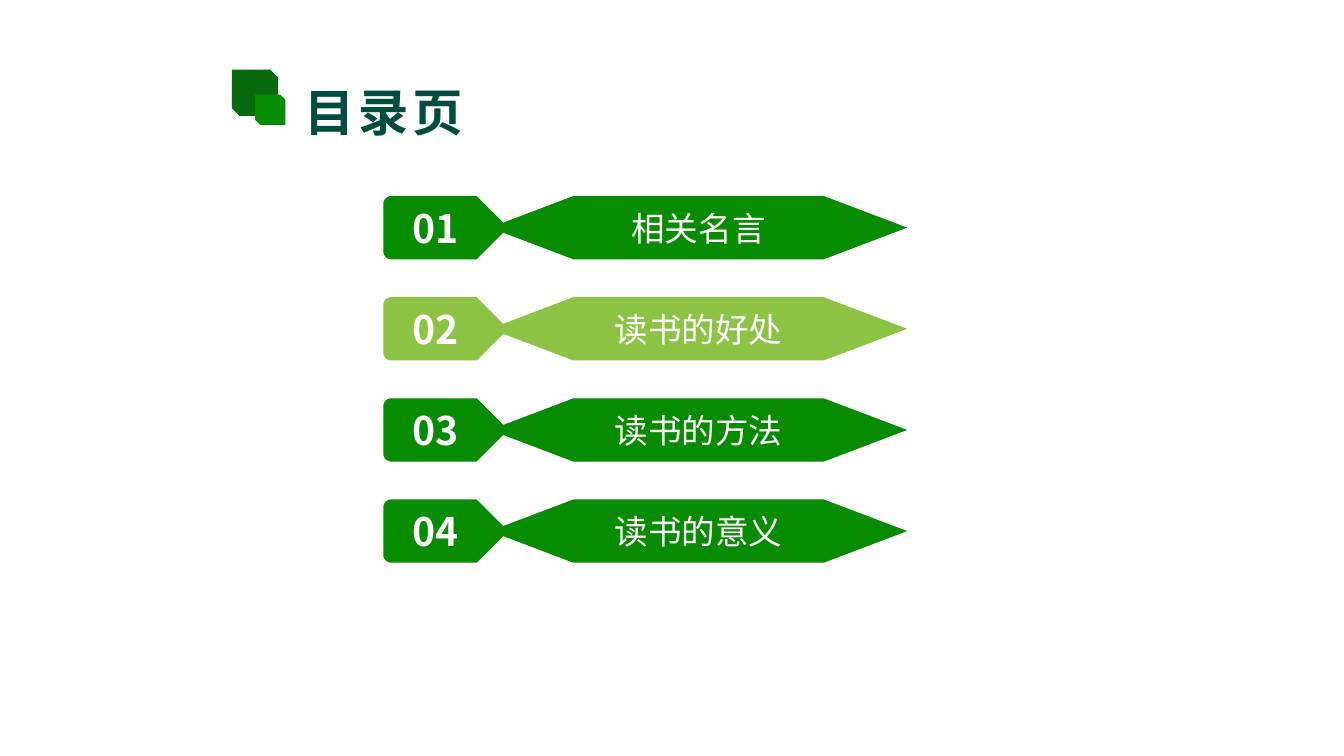
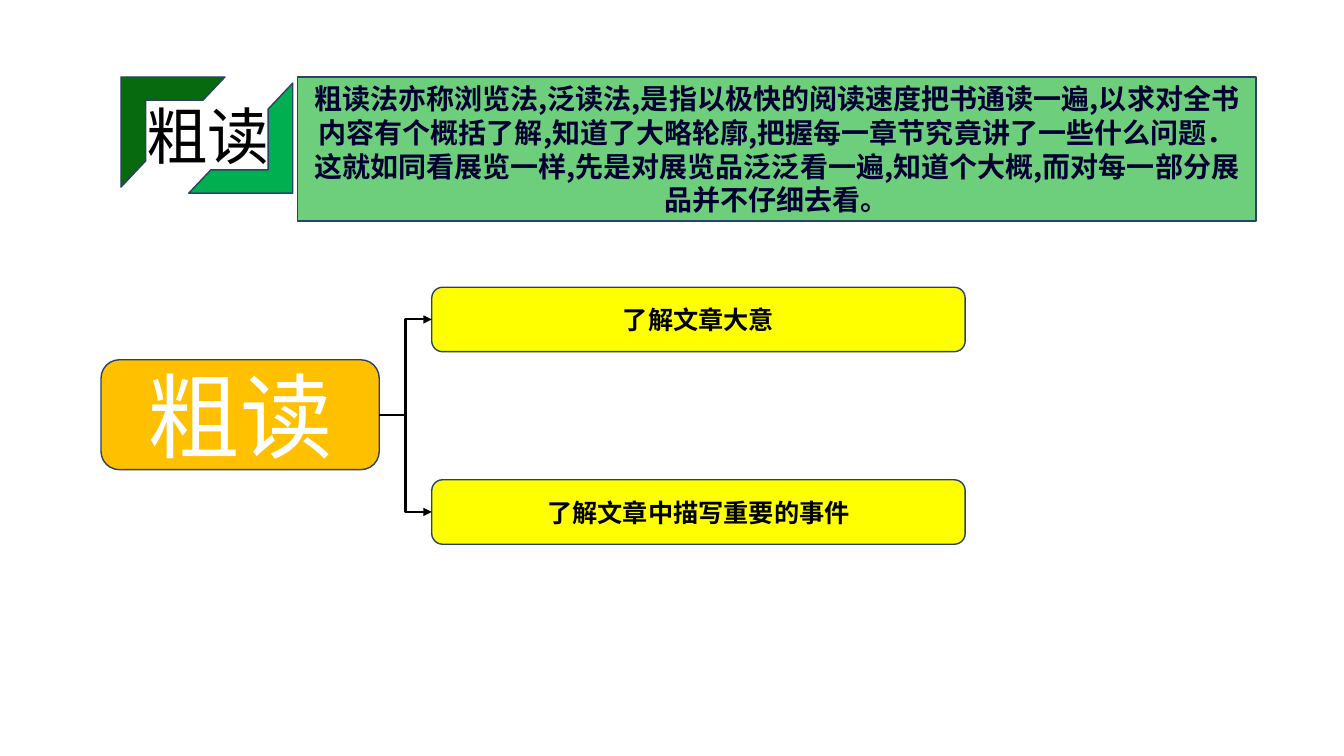
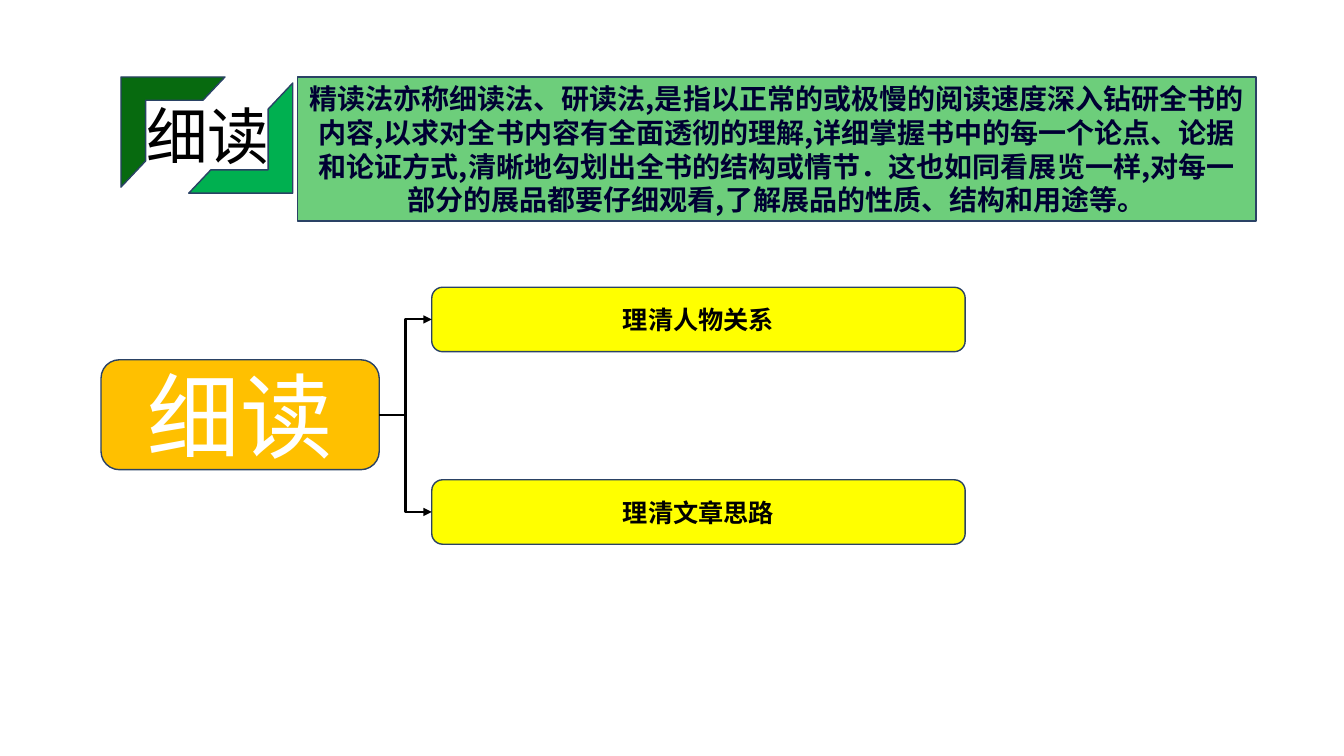
from math import cos, pi, sin

from lxml import etree
from pptx import Presentation
from pptx.dml.color import RGBColor
from pptx.enum.lang import MSO_LANGUAGE_ID
from pptx.enum.shapes import MSO_CONNECTOR, MSO_SHAPE
from pptx.enum.text import MSO_ANCHOR, MSO_AUTO_SIZE, PP_ALIGN
from pptx.oxml.ns import qn
from pptx.util import Pt

ELBOW = MSO_CONNECTOR.ELBOW
HEXAGON = MSO_SHAPE.FLOWCHART_PREPARATION
SNIPPED = MSO_SHAPE.SNIP_2_DIAG_RECTANGLE
HALF_FRAME = MSO_SHAPE.HALF_FRAME
RECT = MSO_SHAPE.RECTANGLE
ROUNDED = MSO_SHAPE.ROUNDED_RECTANGLE
LEFT, CENTER = PP_ALIGN.LEFT, PP_ALIGN.CENTER
TOP, MIDDLE = MSO_ANCHOR.TOP, MSO_ANCHOR.MIDDLE
NO_AUTOSIZE = MSO_AUTO_SIZE.NONE
CHINESE = MSO_LANGUAGE_ID.SIMPLIFIED_CHINESE

NOTO, ARIAL = "Noto Sans CJK SC", "Arial"
COLORS = {
    "green": "078B01",
    "dark_green": "076A0F",
    "lime": "8CC344",
    "emerald": "00B050",
    "mint": "6DCE7B",
    "teal": "004C3F",
    "orange": "FFC000",
    "yellow": "FFFF00",
    "outline": "2A4265",
    "navy": "000033",
    "black": "000000",
    "white": "FFFFFF",
}

CONTENTS = ["相关名言", "读书的好处", "读书的方法", "读书的意义"]
METHODS = [
    (
        "粗读",
        "粗读法亦称浏览法,泛读法,是指以极快的阅读速度把书通读一遍,以求对全书内容有个概括了解,"
        "知道了大略轮廓,把握每一章节究竟讲了一些什么问题．这就如同看展览一样,先是对展览品泛泛看一遍,"
        "知道个大概,而对每一部分展品并不仔细去看。",
        ["了解文章大意", "了解文章中描写重要的事件"],
    ),
    (
        "细读",
        "精读法亦称细读法、研读法,是指以正常的或极慢的阅读速度深入钻研全书的内容,以求对全书内容有全面透彻的理解,"
        "详细掌握书中的每一个论点、论据和论证方式,清晰地勾划出全书的结构或情节．这也如同看展览一样,"
        "对每一部分的展品都要仔细观看,了解展品的性质、结构和用途等。",
        ["理清人物关系", "理清文章思路"],
    ),
]


def rgb(name):
    return RGBColor.from_string(COLORS[name])


def put_text(sp, text, size, color, font=NOTO, bold=False, align=CENTER,
             anchor=MIDDLE, wrap=True, leading=None, spacing=None):
    tf = sp.text_frame
    tf.word_wrap = wrap
    tf.auto_size = NO_AUTOSIZE
    tf.vertical_anchor = anchor
    p = tf.paragraphs[0]
    p.alignment = align
    if leading:
        p.line_spacing = Pt(leading)
    r = p.add_run()
    r.text = text
    r.font.name = font
    r.font.size = Pt(size)
    r.font.bold = bold
    r.font.color.rgb = rgb(color)
    r.font.language_id = CHINESE
    r_pr = r.font._element
    if spacing:
        r_pr.set("spc", str(round(spacing * 100)))
    ea = etree.Element(qn("a:ea"), typeface=NOTO)
    r_pr.find(qn("a:latin")).addnext(ea)


def paint(sp, fill, line=None):
    sp.shadow.inherit = False
    sp.fill.solid()
    sp.fill.fore_color.rgb = rgb(fill)
    if line:
        sp.line.color.rgb = rgb(line)
        sp.line.width = Pt(1)
    else:
        sp.line.fill.background()
    return sp


def add_box(s, kind, x, y, w, h, fill, line=None):
    return paint(s.shapes.add_shape(kind, Pt(x), Pt(y), Pt(w), Pt(h)), fill, line)


def set_title(s, text, x, y, w, h, size, color, **fmt):
    sp = s.shapes.title
    sp.left, sp.top, sp.width, sp.height = Pt(x), Pt(y), Pt(w), Pt(h)
    put_text(sp, text, size, color, align=LEFT, anchor=TOP, leading=size * 1.25, **fmt)


def add_number_tag(s, x, y, w, h, number, fill):
    radius, tip = 5.8, h / 2
    points = [(x + w - tip, y), (x + w, y + tip), (x + w - tip, y + h)]
    for corner_y, start in ((y + h - radius, pi / 2), (y + radius, pi)):
        for step in range(7):
            angle = start + step * pi / 12
            points.append((x + radius + radius * cos(angle),
                           corner_y + radius * sin(angle)))
    points = [(Pt(px), Pt(py)) for px, py in points]
    builder = s.shapes.build_freeform(*points[0], scale=1.0)
    builder.add_line_segments(points[1:], close=True)
    sp = paint(builder.convert_to_shape(), fill)
    sp.text_frame.margin_right = Pt(22.3)
    put_text(sp, number, 28, "white", bold=True)


def add_contents_row(s, x, y, w, h, number, text, fill):
    label_x = x + 76.2
    label = add_box(s, HEXAGON, label_x, y, x + w - label_x, h, fill)
    put_text(label, text, 24, "white")
    add_number_tag(s, x, y, 89.3, h, number, fill)


def add_contents_slide(prs):
    s = prs.slides.add_slide(prs.slide_layouts[5])
    set_title(s, "目录页", 210.2, 52.6, 139.7, 51, 36, "teal", bold=True, spacing=2.6)
    add_box(s, SNIPPED, 165.6, 49.8, 33, 33, "dark_green")
    add_box(s, SNIPPED, 182.2, 67.6, 21.6, 21.6, "green")
    for i, text in enumerate(CONTENTS):
        fill = "lime" if i == 1 else "green"
        add_contents_row(s, 273.8, 140 + i * 72.25, 374.2, 45.2, f"{i + 1:02d}", text, fill)


def add_heading(s, x, y, title, definition):
    set_title(s, title, x + 10.8, y + 9.4, 104, 60.5, 44, "black", font=ARIAL, wrap=False)
    for dx, dy, turn, fill in ((0, 0, 0, "dark_green"), (48.4, 4.3, 180, "emerald")):
        frame = add_box(s, HALF_FRAME, x + dx, y + dy, 74.3, 78.7, fill, "outline")
        frame.adjustments[0], frame.adjustments[1] = 0.224, 0.237
        frame.rotation = turn
    panel = add_box(s, RECT, x + 126, y, 684.7, 103, "mint", "outline")
    put_text(panel, definition, 20, "navy", bold=True, leading=24)


def join(s, start, end):
    cn = s.shapes.add_connector(ELBOW, 0, 0, 0, 0)
    cn.begin_connect(start, 3)
    cn.end_connect(end, 1)
    cn.line.color.rgb = rgb("black")
    cn.line.width = Pt(1.5)
    etree.SubElement(cn.line._get_or_add_ln(), qn("a:tailEnd"), type="triangle")
    etree.SubElement(cn._element.spPr, qn("a:effectLst"))


def add_tree(s, x, y, root_text, branch_texts):
    root = add_box(s, ROUNDED, x, y + 51.8, 198.7, 78.5, "orange", "outline")
    put_text(root, root_text, 66, "white", font=ARIAL)
    branches = []
    for i, text in enumerate(branch_texts):
        branch = add_box(s, ROUNDED, x + 236.2, y + i * 137.5, 381, 46, "yellow", "outline")
        put_text(branch, text, 18, "black", font=ARIAL, bold=True)
        branches.append(branch)
    for branch in branches:
        join(s, root, branch)


def add_method_slide(prs, title, definition, branches):
    s = prs.slides.add_slide(prs.slide_layouts[5])
    add_heading(s, 86.4, 55, title, definition)
    add_tree(s, 72.2, 205.2, title, branches)


def main():
    prs = Presentation()
    prs.slide_width, prs.slide_height = Pt(960), Pt(540)
    add_contents_slide(prs)
    for method in METHODS:
        add_method_slide(prs, *method)
    prs.save("out.pptx")


if __name__ == "__main__":
    main()
